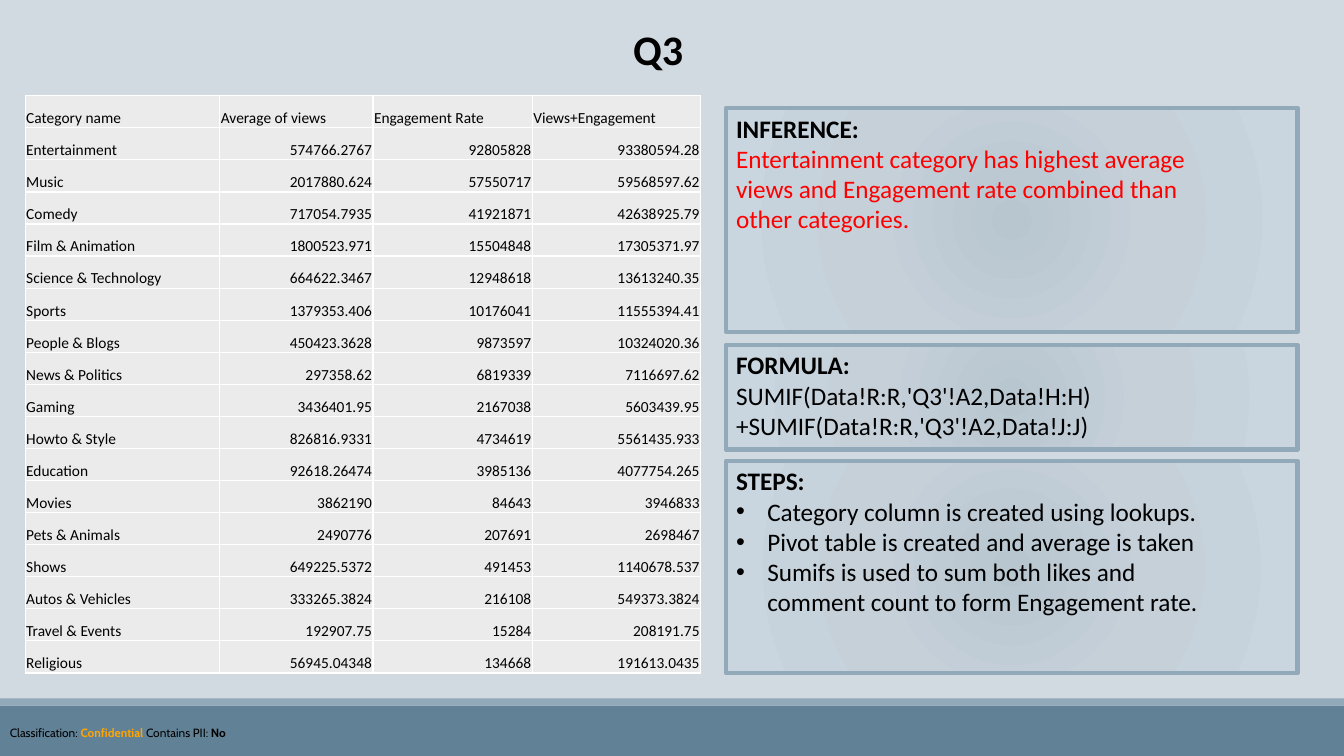
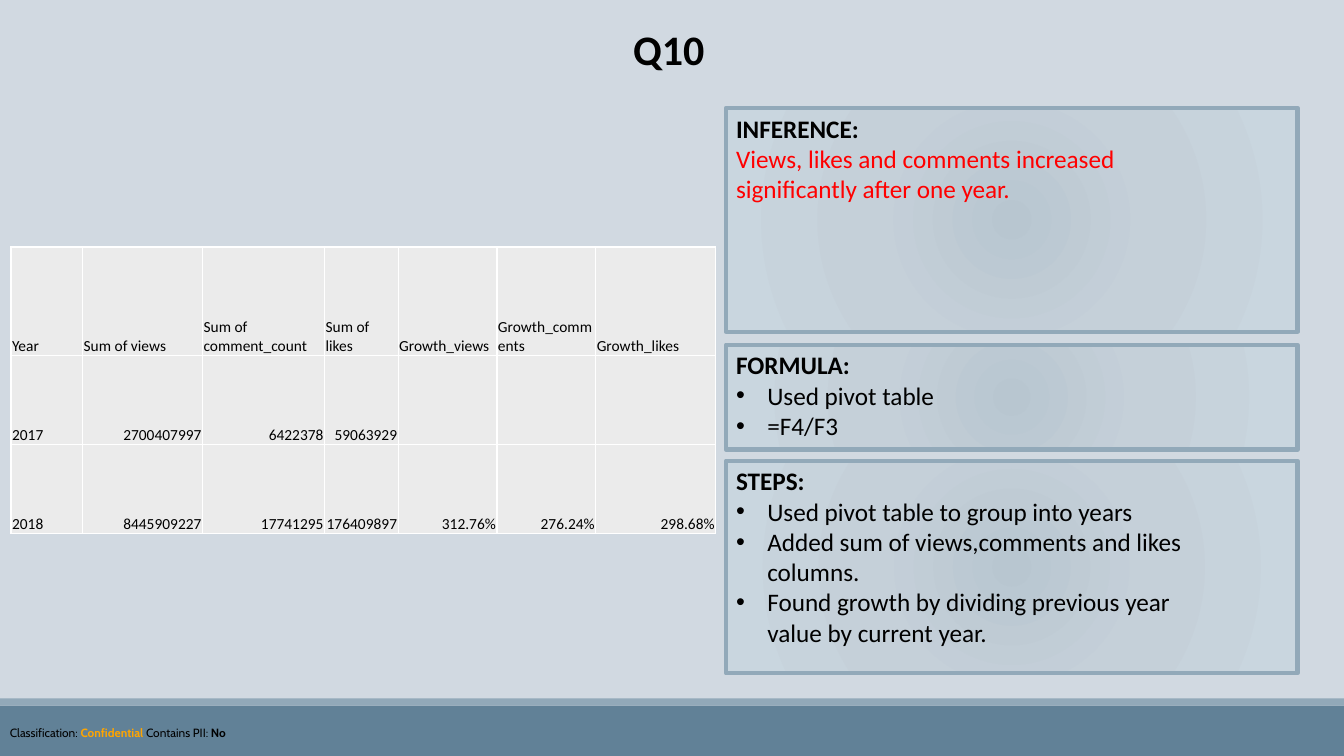
from pptx import Presentation
from pptx.dml.color import RGBColor
from pptx.enum.shapes import MSO_SHAPE
from pptx.enum.text import MSO_ANCHOR, MSO_AUTO_SIZE, PP_ALIGN
from pptx.oxml import parse_xml
from pptx.oxml.ns import nsdecls, qn
from pptx.util import Inches, Pt

BACKGROUND, BAND, ACCENT = "D1D9E1", "618197", "92A9B9"
CELL, WHITE, BLACK, RED, ORANGE = "EBEBEB", "FFFFFF", "000000", "FF0000", "FFA500"
PANEL_STOPS = ((0, "B8C6D0"), (45, "C5D0D9"), (100, "C9D6DF"))
FONT, FOOTER_FONT = "Calibri", "Cabin"
COMPARISON_LAYOUT = 4
TITLE_BOX = (6.18, 0.18, 3.74, 0.61)
PANEL_BOXES = ((7.2, 1.07, 5.67, 2.22), (7.2, 3.42, 5.67, 1.04), (7.2, 4.57, 5.67, 2.11))

VIEWS_ROWS = [
    ("Category name", "Average of views", "Engagement Rate", "Views+Engagement"),
    ("Entertainment", "574766.2767", "92805828", "93380594.28"),
    ("Music", "2017880.624", "57550717", "59568597.62"),
    ("Comedy", "717054.7935", "41921871", "42638925.79"),
    ("Film & Animation", "1800523.971", "15504848", "17305371.97"),
    ("Science & Technology", "664622.3467", "12948618", "13613240.35"),
    ("Sports", "1379353.406", "10176041", "11555394.41"),
    ("People & Blogs", "450423.3628", "9873597", "10324020.36"),
    ("News & Politics", "297358.62", "6819339", "7116697.62"),
    ("Gaming", "3436401.95", "2167038", "5603439.95"),
    ("Howto & Style", "826816.9331", "4734619", "5561435.933"),
    ("Education", "92618.26474", "3985136", "4077754.265"),
    ("Movies", "3862190", "84643", "3946833"),
    ("Pets & Animals", "2490776", "207691", "2698467"),
    ("Shows", "649225.5372", "491453", "1140678.537"),
    ("Autos & Vehicles", "333265.3824", "216108", "549373.3824"),
    ("Travel & Events", "192907.75", "15284", "208191.75"),
    ("Religious", "56945.04348", "134668", "191613.0435"),
]
GROWTH_ROWS = [
    ("Year", "Sum of views", "Sum of comment_count", "Sum of likes",
     "Growth_views", "Growth_comments", "Growth_likes"),
    ("2017", "2700407997", "6422378", "59063929", "", "", ""),
    ("2018", "8445909227", "17741295", "176409897", "312.76%", "276.24%", "298.68%"),
]


def rgb(value):
    return RGBColor.from_string(value)


def place(shape, box):
    shape.left, shape.top, shape.width, shape.height = map(Inches, box)


def style_font(font, size, color=BLACK, bold=False, name=FONT):
    font.name, font.size, font.bold = name, Pt(size), bold
    font.color.rgb = rgb(color)


def add_band(page, box, color):
    band = page.shapes.add_shape(MSO_SHAPE.RECTANGLE, *map(Inches, box))
    band.shadow.inherit = False
    band.fill.solid()
    band.fill.fore_color.rgb = rgb(color)
    band.line.fill.background()
    return band


def add_classification(page, box):
    label = page.shapes.add_textbox(*map(Inches, box))
    label.text_frame.word_wrap = True
    para = label.text_frame.paragraphs[0]
    for text, color, bold in (("Classification: ", BLACK, False), ("Confidential", ORANGE, True),
                              (" Contains PII: ", BLACK, False), ("No", BLACK, True)):
        span = para.add_run()
        span.text = text
        style_font(span.font, 8.5, color, bold, FOOTER_FONT)
    return label


def dress_layout(layout, page):
    """Draw the footer on a page, then move it to the layout all pages share."""
    layout.background.fill.solid()
    layout.background.fill.fore_color.rgb = rgb(BACKGROUND)
    footer = (add_band(page, (0, 7, 13.33, 0.5), BAND),
              add_band(page, (0, 6.93, 13.33, 0.07), ACCENT),
              add_classification(page, (0, 7.15, 13.33, 0.24)))
    for shape in footer:
        layout.shapes.element.append(shape.element)


def fill_radial(shape, stops):
    shape.fill.gradient()
    properties = shape.element.spPr
    stop_xml = "".join(f'<a:gs pos="{position * 1000}"><a:srgbClr val="{color}"/></a:gs>'
                       for position, color in stops)
    radial = parse_xml(
        f'<a:gradFill {nsdecls("a")} rotWithShape="1"><a:gsLst>{stop_xml}</a:gsLst>'
        '<a:path path="circle"><a:fillToRect l="100000" t="100000" r="100000" b="100000"/>'
        '</a:path></a:gradFill>')
    properties.replace(properties.find(qn("a:gradFill")), radial)


def set_bullet(para, bulleted):
    properties = para._p.get_or_add_pPr()
    indent = Inches(0.31) if bulleted else 0
    properties.set("marL", str(indent))
    properties.set("indent", str(-indent))
    mark = '<a:buChar {} char="•"/>' if bulleted else "<a:buNone {}/>"
    properties.append(parse_xml(mark.format(nsdecls("a"))))


def fill_title(title, text):
    place(title, TITLE_BOX)
    frame = title.text_frame
    frame.text = text
    frame.vertical_anchor = MSO_ANCHOR.TOP
    frame.auto_size = MSO_AUTO_SIZE.NONE
    para = frame.paragraphs[0]
    para.alignment = PP_ALIGN.LEFT
    style_font(para.font, 30, bold=True)


def fill_panel(panel, box, heading, lines, color=BLACK, bulleted=False):
    place(panel, box)
    fill_radial(panel, PANEL_STOPS)
    panel.line.color.rgb = rgb(ACCENT)
    panel.line.width = Pt(3)
    frame = panel.text_frame
    frame.text = "\n".join((heading, *lines))
    frame.word_wrap = True
    frame.auto_size = MSO_AUTO_SIZE.NONE
    frame.vertical_anchor = MSO_ANCHOR.TOP
    frame.margin_right = Inches(0.75)
    for index, para in enumerate(frame.paragraphs):
        is_heading = index == 0
        para.space_before = Pt(0)
        set_bullet(para, bulleted and not is_heading)
        style_font(para.font, 18, BLACK if is_heading else color, is_heading)


def style_cell(cell, text, is_number):
    cell.margin_left = cell.margin_right = cell.margin_top = Inches(0.01)
    cell.margin_bottom = 0
    cell.vertical_anchor = MSO_ANCHOR.BOTTOM
    properties = cell._tc.get_or_add_tcPr()
    for side in "LRTB":
        properties.append(parse_xml(
            f'<a:ln{side} {nsdecls("a")} w="{Pt(1)}"><a:solidFill>'
            f'<a:srgbClr val="{WHITE}"/></a:solidFill></a:ln{side}>'))
    cell.fill.solid()
    cell.fill.fore_color.rgb = rgb(CELL)
    cell.text = text
    para = cell.text_frame.paragraphs[0]
    para.alignment = PP_ALIGN.RIGHT if is_number else PP_ALIGN.LEFT
    style_font(para.font, 11)


def add_data_table(page, left, top, widths, heights, rows):
    table = page.shapes.add_table(len(rows), len(widths), Inches(left), Inches(top),
                                  Inches(sum(widths)), Inches(sum(heights))).table
    table.first_row = table.horz_banding = False
    for column, width in zip(table.columns, widths):
        column.width = Inches(width)
    for r, (row, height, texts) in enumerate(zip(table.rows, heights, rows)):
        row.height = Inches(height)
        for c, text in enumerate(texts):
            style_cell(row.cells[c], text, r > 0 and c > 0)


def add_question_page(deck, title, panels):
    page = deck.slides.add_slide(deck.slide_layouts[COMPARISON_LAYOUT])
    fill_title(page.shapes.title, title)
    *bodies, spare = list(page.placeholders)[1:]
    spare.element.getparent().remove(spare.element)
    for body, box, panel in zip(bodies, PANEL_BOXES, panels):
        fill_panel(body, box, **panel)
    return page


def main():
    deck = Presentation()
    deck.slide_width, deck.slide_height = Inches(13.33), Inches(7.5)

    views_page = add_question_page(deck, "Q3", (
        dict(heading="INFERENCE:", color=RED, lines=[
            "Entertainment category has highest average views and Engagement rate "
            "combined than other categories."]),
        dict(heading="FORMULA:", lines=[
            "SUMIF(Data!R:R,'Q3'!A2,Data!H:H)+SUMIF(Data!R:R,'Q3'!A2,Data!J:J)"]),
        dict(heading="STEPS:", bulleted=True, lines=[
            "Category column is created using lookups.",
            "Pivot table is created and average is taken",
            "Sumifs is used to sum both likes and comment count to form Engagement rate."]),
    ))
    row_count = len(VIEWS_ROWS)
    add_data_table(views_page, 0.25, 0.95, (1.93, 1.52, 1.58, 1.67),
                   [5.73 / row_count] * row_count, VIEWS_ROWS)

    growth_page = add_question_page(deck, "Q10", (
        dict(heading="INFERENCE:", color=RED, lines=[
            "Views, likes and comments increased significantly after one year."]),
        dict(heading="FORMULA:", bulleted=True, lines=["Used pivot table", "=F4/F3"]),
        dict(heading="STEPS:", bulleted=True, lines=[
            "Used pivot table to group into years",
            "Added sum of views,comments and likes columns.",
            "Found growth by dividing previous year value by current year."]),
    ))
    add_data_table(growth_page, 0.11, 2.45, (0.71, 1.19, 1.21, 0.73, 0.98, 0.98, 1.19),
                   (1.08, 0.88, 0.88), GROWTH_ROWS)

    dress_layout(deck.slide_layouts[COMPARISON_LAYOUT], views_page)
    deck.save("out.pptx")


if __name__ == "__main__":
    main()
